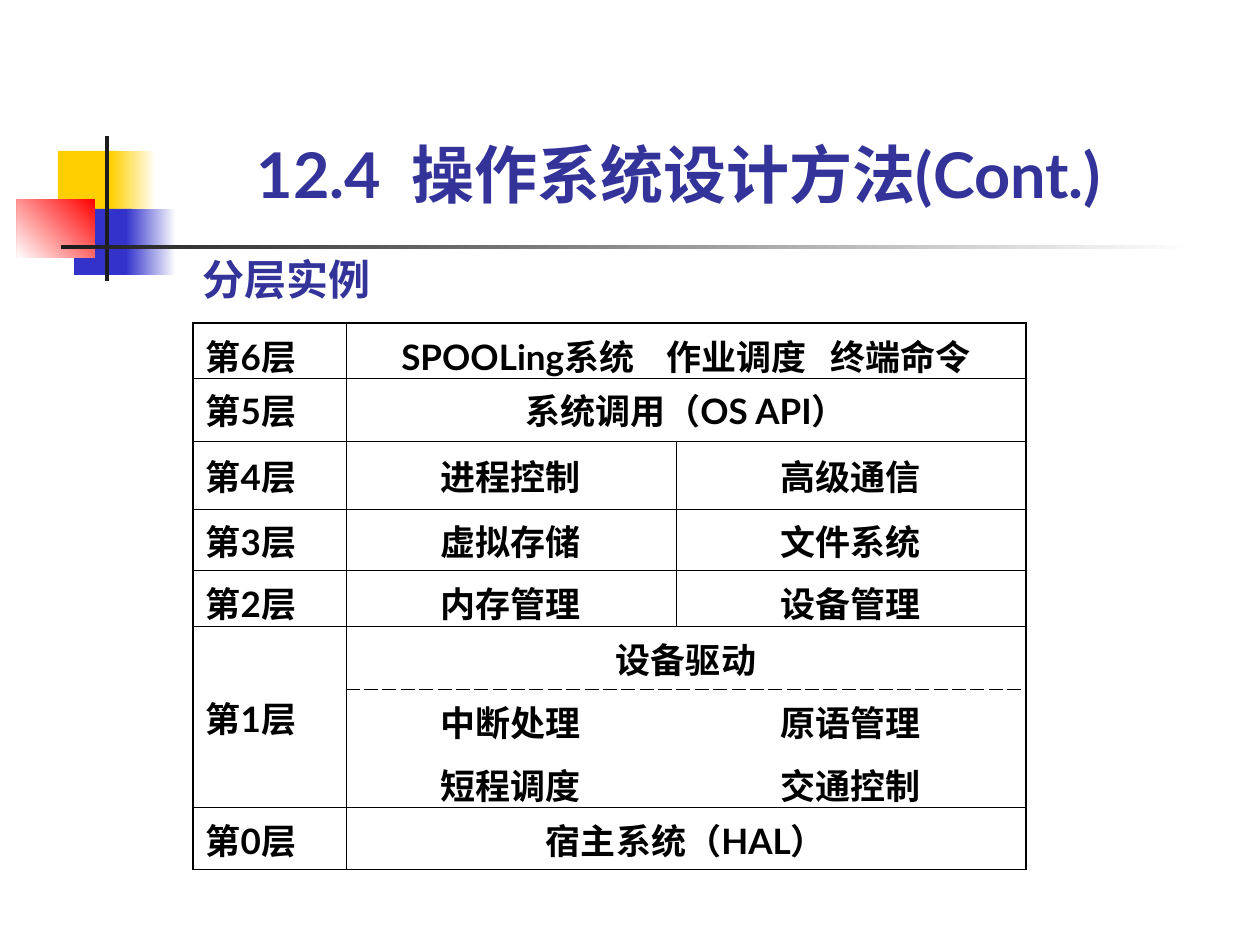
from lxml.etree import SubElement
from pptx import Presentation
from pptx.dml.color import RGBColor
from pptx.enum.shapes import MSO_SHAPE as Shape
from pptx.enum.text import MSO_ANCHOR as Anchor, PP_ALIGN as Align
from pptx.oxml.ns import qn
from pptx.util import Pt

PX = 7257  # EMU per px, 126 px to the inch
rgb = RGBColor.from_string

OUTER, INNER, DASHED, NONE = (1.08, "solid"), (0.45, "solid"), (0.75, "dash"), None
ROWS = [
    ["第6层", "SPOOLing系统    作业调度   终端命令"],
    ["第5层", "系统调用（OS API）"],
    ["第4层", "进程控制", "高级通信"],
    ["第3层", "虚拟存储", "文件系统"],
    ["第2层", "内存管理", "设备管理"],
    ["第1层", "设备驱动"],
    ["", "中断处理", "原语管理"],
    ["", "短程调度", "交通控制"],
    ["第0层", "宿主系统（HAL）"],
]
COL_WIDTHS = [153, 330, 350]
ROW_HEIGHTS = [55, 63, 68, 62, 56, 63, 63, 55, 62]


def vertical_edge(row, col):
    """Style of the line on the left of column col."""
    if col in (0, 3):
        return OUTER
    return INNER if col == 1 or row in (2, 3, 4) else NONE


def horizontal_edge(row, col):
    """Style of the line above a row."""
    if row in (0, 9):
        return OUTER
    if row in (6, 7):
        return DASHED if row == 6 and col > 0 else NONE
    return INNER


prs = Presentation()
prs.slide_width, prs.slide_height = 1260 * PX, 945 * PX
s = prs.slides.add_slide(prs.slide_layouts[6])

# Corner ornament and rule: box, colours (two make a gradient), angle
for box, colours, angle in [
    ((58, 151, 61, 66), ["FFCF01"], 0),
    ((111, 151, 45, 66), ["FFFFFF", "FFCF01"], 180),
    ((74, 209, 58, 66), ["3333CC"], 0),
    ((126, 209, 50, 66), ["FFFFFF", "3333CC"], 180),
    ((17, 199, 78, 59), ["FF0000", "FFFFFF"], 225),
    ((105, 136, 4, 145), ["1C1C1C"], 0),
    ((61, 245, 1134, 4), ["FFFFFF", "1C1C1C"], 180),
]:
    sp = s.shapes.add_shape(Shape.RECTANGLE, *(v * PX for v in box))
    sp.shadow.inherit = False
    sp.line.fill.background()
    if len(colours) == 1:
        sp.fill.solid()
        sp.fill.fore_color.rgb = rgb(colours[0])
    else:
        sp.fill.gradient()
        sp.fill.gradient_angle = angle
        for stop, colour in zip(sp.fill.gradient_stops, colours):
            stop.color.rgb = rgb(colour)

# Title and subtitle
for box, text, size, font, align, anchor in [
    ((213, 135, 932, 76), "12.4  操作系统设计方法(Cont.)", 36, "Lato", Align.CENTER, Anchor.MIDDLE),
    ((203, 254, 187, 50), "分层实例", 24, "Times New Roman", Align.LEFT, Anchor.TOP),
]:
    tf = s.shapes.add_textbox(*(v * PX for v in box)).text_frame
    tf.word_wrap = True
    tf.margin_left = tf.margin_top = tf.margin_right = tf.margin_bottom = 0
    tf.vertical_anchor = anchor
    p = tf.paragraphs[0]
    p.text, p.alignment = text, align
    p.font.size, p.font.name, p.font.bold = Pt(size), font, True
    p.font.color.rgb = rgb("333399")

# Layer table
table = s.shapes.add_table(len(ROWS), len(COL_WIDTHS), 193 * PX, 323 * PX,
                           sum(COL_WIDTHS) * PX, sum(ROW_HEIGHTS) * PX).table
table.first_row = table.horz_banding = False
for column, width in zip(table.columns, COL_WIDTHS):
    column.width = width * PX
for row, height in zip(table.rows, ROW_HEIGHTS):
    row.height = height * PX
for r, texts in enumerate(ROWS):
    if len(texts) == 2:
        table.cell(r, 1).merge(table.cell(r, 2))
table.cell(5, 0).merge(table.cell(7, 0))

for r, texts in enumerate(ROWS):
    for c in range(len(COL_WIDTHS)):
        cell = table.cell(r, c)

        # Borders
        tc_pr = cell._tc.get_or_add_tcPr()
        edges = {
            "L": vertical_edge(r, c),
            "R": vertical_edge(r, c + cell.span_width),
            "T": horizontal_edge(r, c),
            "B": horizontal_edge(r + cell.span_height, c),
        }
        for side, edge in edges.items():
            ln = SubElement(tc_pr, qn("a:ln" + side))
            if edge is NONE:
                SubElement(ln, qn("a:noFill"))
                continue
            width, dash = edge
            ln.set("w", str(Pt(width)))
            SubElement(SubElement(ln, qn("a:solidFill")), qn("a:srgbClr")).set("val", "000000")
            SubElement(ln, qn("a:prstDash")).set("val", dash)
        cell.fill.background()

        # Text
        if cell.is_spanned:
            continue
        cell.vertical_anchor = Anchor.MIDDLE
        p = cell.text_frame.paragraphs[0]
        p.text = texts[c]
        p.alignment = Align.CENTER if c else Align.LEFT
        p.font.size, p.font.name, p.font.bold = Pt(20), "Lato", True
        p.font.color.rgb = rgb("000000")

prs.save("out.pptx")
